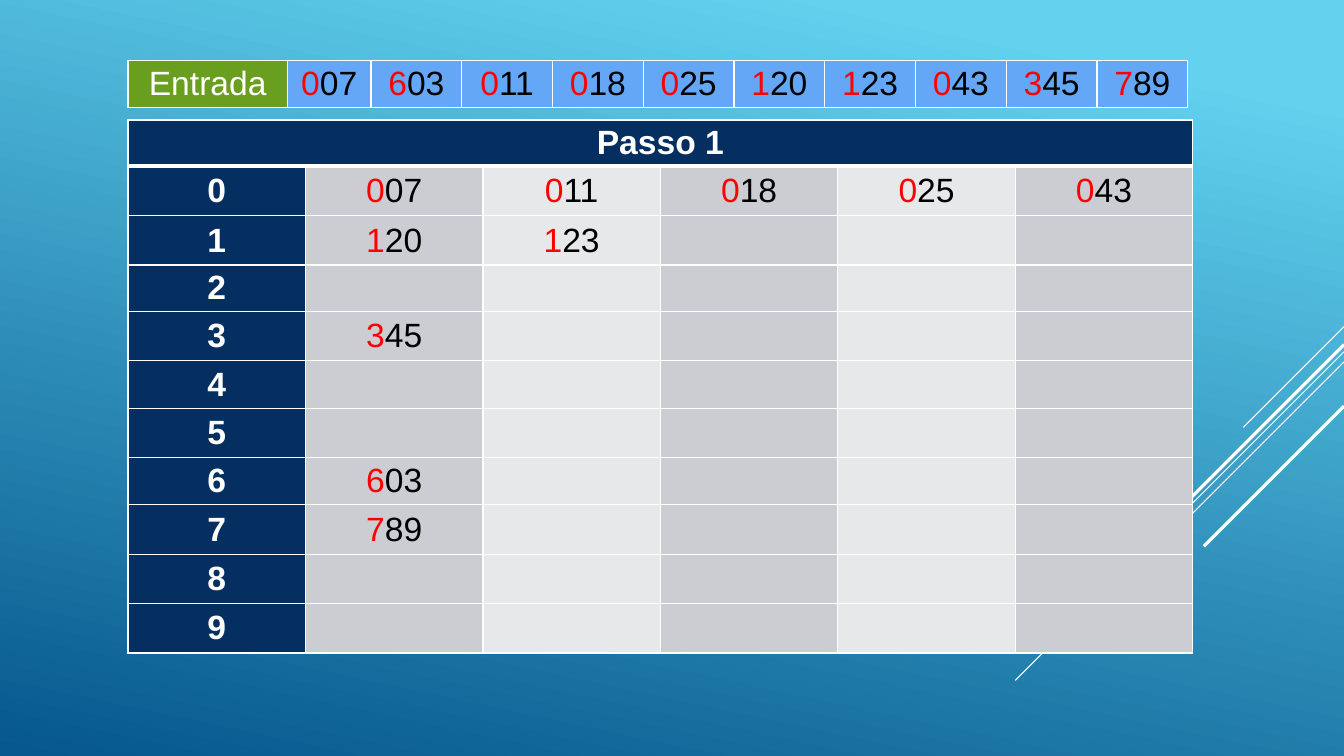
"""Build the slide that shows pass 1 of a radix sort: the input row and the buckets."""
from copy import deepcopy

from lxml import etree
from pptx import Presentation
from pptx import util as u
from pptx.dml.color import RGBColor
from pptx.enum import shapes, text
from pptx.oxml import ns

WHITE = RGBColor(0xFF, 0xFF, 0xFF)
BLACK = RGBColor(0x00, 0x00, 0x00)
RED = RGBColor(0xFF, 0x00, 0x00)
NAVY = RGBColor(0x05, 0x2F, 0x61)
GREEN = RGBColor(0x6A, 0x9E, 0x1F)
BLUE = RGBColor(0x64, 0xA7, 0xF7)
GREY = RGBColor(0xCC, 0xCD, 0xD2)
PALE_GREY = RGBColor(0xE7, 0xE8, 0xEA)
SKY = RGBColor(0x62, 0xD2, 0xEF)
DEEP_BLUE = RGBColor(0x05, 0x57, 0x8D)


def write(cell, wording, fill, color=BLACK, bold=False, lead=0, top=1, bottom=1):
    """Fill and border a cell, and write its wording with the first lead characters in red."""
    properties = cell._tc.get_or_add_tcPr()
    for side, width in (("L", 1), ("R", 1), ("T", top), ("B", bottom)):
        border = etree.SubElement(properties, ns.qn(f"a:ln{side}"), w=str(u.Pt(width)))
        solid = etree.SubElement(border, ns.qn("a:solidFill"))
        etree.SubElement(solid, ns.qn("a:srgbClr"), val=str(WHITE))
    cell.fill.solid()
    cell.fill.fore_color.rgb = fill
    cell.margin_left = cell.margin_right = u.Inches(0.09)
    cell.margin_top = cell.margin_bottom = u.Inches(0.03)
    cell.vertical_anchor = text.MSO_ANCHOR.MIDDLE
    paragraph = cell.text_frame.paragraphs[0]
    paragraph.alignment = text.PP_ALIGN.CENTER
    for part, part_color in ((wording[:lead], RED), (wording[lead:], color)):
        if part:
            run = paragraph.add_run()
            run.text = part
            run.font.name = "Arial"
            run.font.size = u.Pt(24)
            run.font.bold = bold
            run.font.color.rgb = part_color


prs = Presentation()
prs.slide_width, prs.slide_height = u.Inches(13.33), u.Inches(7.5)
slide = prs.slides.add_slide(prs.slide_layouts[6])

backdrop = slide.background.fill
backdrop.gradient()
backdrop.gradient_angle = 258
stop_list = slide.element.find(".//" + ns.qn("a:gsLst"))
stop_list.insert(0, deepcopy(stop_list[0]))
for stop, position, color in zip(backdrop.gradient_stops, (0, 0.1, 1), (SKY, SKY, DEEP_BLUE)):
    stop.position = position
    stop.color.rgb = color

diagonals = [(3.24, 1.0, 0.75), (3.49, 3.26, 0.75), (3.59, 2.07, 0.75),
             (3.42, 1.91, 2.25), (4.03, 1.39, 2.25)]
for start, reach, weight in diagonals:
    diagonal = slide.shapes.add_connector(
        shapes.MSO_CONNECTOR.STRAIGHT, u.Inches(13.33), u.Inches(start),
        u.Inches(13.33 - reach), u.Inches(start + reach))
    diagonal.line.color.rgb = WHITE
    diagonal.line.width = u.Pt(weight)
    etree.SubElement(diagonal._element.spPr, ns.qn("a:effectLst"))

numbers = ["007", "603", "011", "018", "025", "120", "123", "043", "345", "789"]
entry_widths = [1.58, 0.83] + [0.9] * 9
entry = slide.shapes.add_table(1, len(entry_widths), u.Inches(1.27), u.Inches(0.6),
                               u.Inches(sum(entry_widths)), u.Inches(0.47)).table
for column, width in zip(entry.columns, entry_widths):
    column.width = u.Inches(width)
write(entry.cell(0, 0), "Entrada", GREEN, color=WHITE)
for index, number in enumerate(numbers, start=1):
    write(entry.cell(0, index), number, BLUE, lead=1)

row_heights = [0.46, 0.49, 0.49, 0.46, 0.49, 0.47, 0.49, 0.47, 0.49, 0.49, 0.49]
buckets = slide.shapes.add_table(len(row_heights), 6, u.Inches(1.27), u.Inches(1.19),
                                 u.Inches(10.56), u.Inches(sum(row_heights))).table
for row, height in zip(buckets.rows, row_heights):
    row.height = u.Inches(height)
buckets.cell(0, 0).merge(buckets.cell(0, 5))
for index in range(6):
    write(buckets.cell(0, index), "" if index else "Passo 1", NAVY,
          color=WHITE, bold=True, bottom=3)
for digit in range(10):
    top = 1 if digit else 3
    write(buckets.cell(digit + 1, 0), str(digit), NAVY, color=WHITE, bold=True, top=top)
    members = [number for number in numbers if number[0] == str(digit)]
    for index in range(1, 6):
        number = members[index - 1] if index <= len(members) else ""
        write(buckets.cell(digit + 1, index), number, GREY if index % 2 else PALE_GREY,
              lead=1, top=top)

prs.save("out.pptx")
